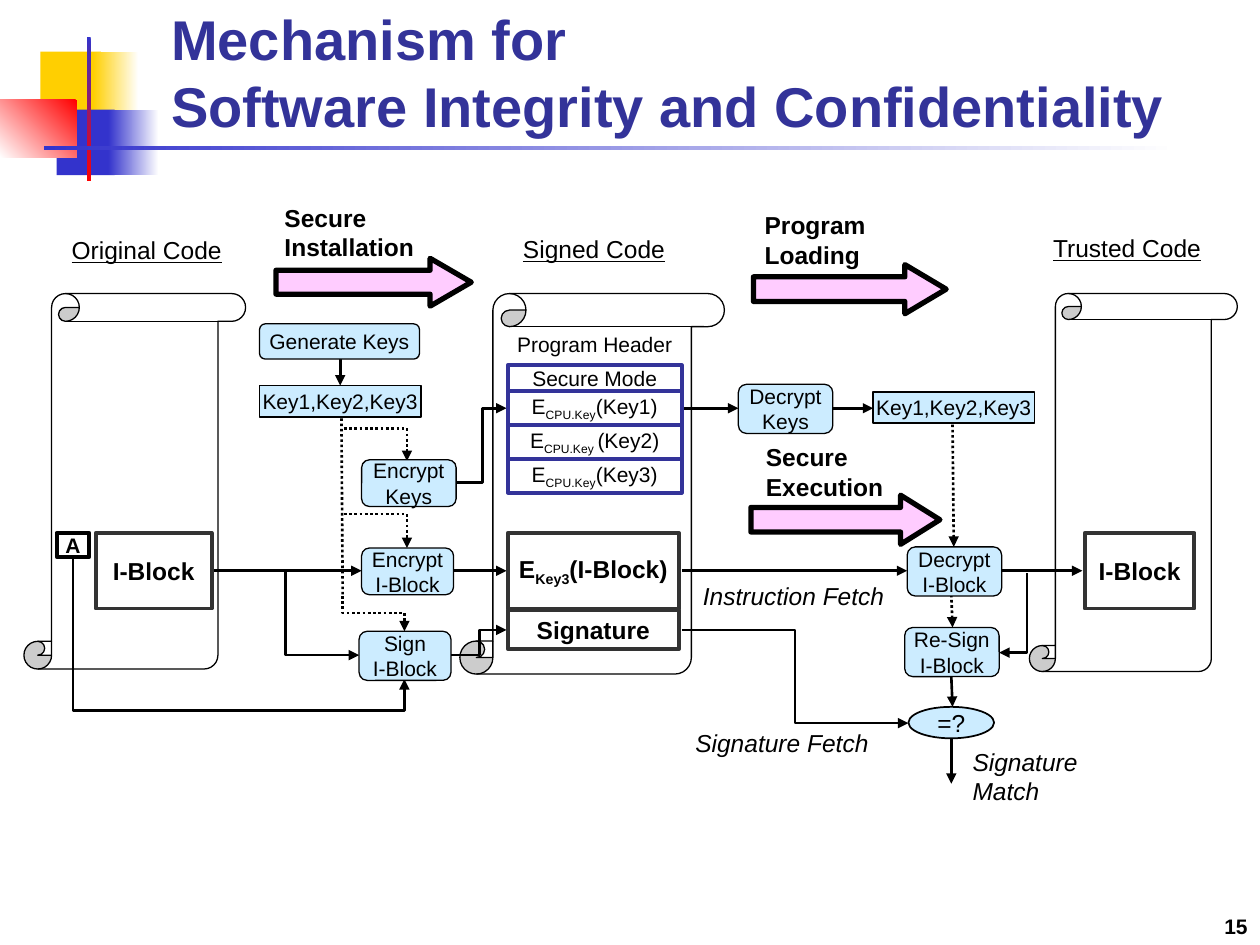
"""Build a slide on the mechanism for software integrity and confidentiality."""
import pptx
import pptx.dml.color
import pptx.enum.dml
import pptx.enum.shapes
import pptx.enum.text
import pptx.util
from lxml import etree
from pptx.oxml.ns import qn

Inches, Pt = pptx.util.Inches, pptx.util.Pt
SHAPE = pptx.enum.shapes.MSO_SHAPE
CONNECTOR = pptx.enum.shapes.MSO_CONNECTOR
ALIGN = pptx.enum.text.PP_ALIGN
ANCHOR = pptx.enum.text.MSO_ANCHOR

WHITE, BLACK, NAVY, GRAY = "FFFFFF", "000000", "333399", "333333"
YELLOW, BLUE, RED, SKY, PINK = "FFCF01", "3333CC", "FF0000", "CCECFF", "FFCCFF"

ornaments = [
    ((0.32, 0.41, 0.48, 0.52), (YELLOW,), 0),
    ((0.74, 0.41, 0.36, 0.52), (WHITE, YELLOW), 180),
    ((0.45, 0.87, 0.46, 0.52), (BLUE,), 0),
    ((0.86, 0.87, 0.4, 0.52), (WHITE, BLUE), 180),
    ((0, 0.79, 0.61, 0.46), (RED, WHITE), 225),
    ((0.69, 0.29, 0.03, 1.15), (BLUE, RED), 270),
    ((0.35, 1.16, 9, 0.03), (WHITE, BLUE), 180),
]
scrolls = [(3.65, 2.33, 2.1, 3.02), (0.19, 2.33, 1.76, 2.98), (8.17, 2.33, 1.65, 3)]
stage_arrows = [
    ((2.19, 2.05, 1.55, 0.38), 0.86),
    ((5.98, 2.1, 1.53, 0.39), 0.84),
    ((5.96, 3.93, 1.5, 0.39), 0.8),
]

headings = [
    ("Original Code", (0.47, 1.82, 1.4, 0.34), ALIGN.LEFT),
    ("Signed Code", (3.98, 1.81, 1.47, 0.34), ALIGN.CENTER),
    ("Trusted Code", (8.26, 1.8, 1.44, 0.34), ALIGN.LEFT),
]
stages = [
    ("Secure Installation", (2.16, 1.56, 1.27, 0.57)),
    ("Program\nLoading", (5.97, 1.62, 1.18, 0.57)),
    ("Secure Execution", (5.98, 3.46, 1.18, 0.57)),
]
flow_names = [
    ("Signature Match", (7.62, 5.88, 1.05, 0.57)),
    ("Signature Fetch", (5.42, 5.73, 1.85, 0.34)),
    ("Instruction Fetch", (5.48, 4.56, 1.74, 0.34)),
]

steps = [
    ("Generate Keys", (2.06, 2.57, 1.27, 0.28)),
    ("Encrypt\nKeys", (2.87, 3.65, 0.75, 0.37)),
    ("Encrypt\nI-Block", (2.87, 4.35, 0.73, 0.37)),
    ("Sign\nI-Block", (2.85, 5.01, 0.73, 0.39)),
    ("Decrypt\nKeys", (5.86, 3.05, 0.75, 0.39)),
    ("Decrypt\nI-Block", (7.2, 4.34, 0.75, 0.39)),
    ("Re-Sign\nI-Block", (7.18, 4.98, 0.75, 0.39)),
]
key_sets = [(2.06, 3.06, 1.28, 0.25), (6.93, 3.11, 1.28, 0.25)]
header_rows = [("Secure Mode",)] + [
    ("E", sub, f"(Key{n})") for n, sub in enumerate(("CPU.Key", "CPU.Key ", "CPU.Key"), 1)]
blocks = [
    (("I-Block",), (0.76, 4.23, 0.92, 0.6)),
    (("E", "Key3", "(I-Block)"), (4.03, 4.23, 1.36, 0.6)),
    (("Signature",), (4.03, 4.84, 1.36, 0.31)),
    (("I-Block",), (8.61, 4.23, 0.87, 0.6)),
]

straight_flows = [
    (3.6, 4.53, 4.02, 4.53), (1.7, 4.53, 2.87, 4.53), (6.61, 3.24, 6.93, 3.24),
    (5.41, 4.53, 7.2, 4.53), (7.95, 4.53, 8.59, 4.53), (5.43, 3.24, 5.86, 3.24),
    (2.7, 2.85, 2.7, 3.06), (7.55, 5.37, 7.56, 5.61), (7.55, 5.86, 7.55, 6.22),
]
dotted_flows = [(7.56, 3.37, 7.57, 4.34), (7.55, 4.72, 7.56, 4.98)]
sideways_flows = [
    ((3.58, 5.2, 4.02, 5), 0.51, False),
    ((1.7, 4.53, 2.85, 5.2), 0.49, False),
    ((3.62, 3.83, 4.02, 3.24), 0.52, False),
    ((5.41, 5, 7.21, 5.74), 0.5, False),
    ((2.73, 4.08, 3.23, 4.35), None, True),
    ((2.73, 3.4, 3.23, 3.66), None, True),
]
downward_flows = [
    ((8.15, 4.55, 7.93, 5.18), None, False),
    ((2.72, 4.73, 3.21, 5.01), 0.48, True),
    ((0.58, 4.44, 3.21, 5.39), 1.26, False),
]

deck = pptx.Presentation()
deck.slide_width, deck.slide_height = Inches(10), Inches(7.5)
slide = deck.slides.add_slide(deck.slide_layouts[6])


def color(value):
    return pptx.dml.color.RGBColor.from_string(value)


def write(shape, parts, size, ink=BLACK, align=ALIGN.LEFT, anchor=ANCHOR.TOP, wrap=True, **style):
    frame = shape.text_frame
    frame.word_wrap, frame.vertical_anchor = wrap, anchor
    paragraph = frame.paragraphs[0]
    paragraph.alignment = align
    font = paragraph.font
    font.name, font.size, font.color.rgb = "Arial", Pt(size), color(ink)
    for name, value in style.items():
        setattr(font, name, value)
    if len(parts) == 1:
        paragraph.text = parts[0]
        return
    for index, part in enumerate(parts):
        run = paragraph.add_run()
        run.text = part
        if index % 2:
            run._r.get_or_add_rPr().set("baseline", "-25000")


def label(text, box, size=14, **style):
    write(slide.shapes.add_textbox(*map(Inches, box)), (text,), size, **style)


def draw(kind, box, fill=None, line=None, width=0.75):
    shape = slide.shapes.add_shape(kind, *map(Inches, box))
    shape.shadow.inherit = False
    if fill:
        shape.fill.solid()
        shape.fill.fore_color.rgb = color(fill)
    else:
        shape.fill.background()
    if line:
        shape.line.color.rgb, shape.line.width = color(line), Pt(width)
    else:
        shape.line.fill.background()
    return shape


def node(kind, parts, box, size, fill, line, width, **style):
    write(draw(kind, box, fill, line, width), parts, size, align=ALIGN.CENTER,
          anchor=ANCHOR.MIDDLE, wrap=False, **style)


def flow(ends, kind=CONNECTOR.STRAIGHT, dotted=False, head=True):
    connector = slide.shapes.add_connector(kind, *map(Inches, ends))
    connector.line.color.rgb, connector.line.width = color(BLACK), Pt(1.5)
    if dotted:
        connector.line.dash_style = pptx.enum.dml.MSO_LINE.ROUND_DOT
    if head:
        etree.SubElement(connector.line._get_or_add_ln(), qn("a:tailEnd"), type="triangle")
    etree.SubElement(connector._element.spPr, qn("a:effectLst"))
    return connector


def elbow(ends, bend, dotted, downward=False):
    x1, y1, x2, y2 = ends
    turn = None
    if downward:
        half_x, half_y = abs(x2 - x1) / 2, abs(y2 - y1) / 2
        mid_x, mid_y = (x1 + x2) / 2, (y1 + y2) / 2
        ends = (mid_x - half_y, mid_y - half_x, mid_x + half_y, mid_y + half_x)
        turn = 270 if x2 > x1 else 90
    properties = flow(ends, CONNECTOR.ELBOW, dotted)._element.spPr
    if turn:
        properties.xfrm.set("rot", str(turn * 60000))
    if turn == 270:
        properties.xfrm.set("flipH", "1")
    geometry = properties.find(qn("a:prstGeom"))
    if bend is None:
        geometry.set("prst", "bentConnector2")
    else:
        etree.SubElement(geometry.find(qn("a:avLst")), qn("a:gd"),
                         name="adj1", fmla=f"val {round(bend * 100000)}")


for box, tones, angle in ornaments:
    ornament = draw(SHAPE.RECTANGLE, box, tones[0])
    if len(tones) == 2:
        ornament.fill.gradient()
        ornament.fill.gradient_angle = angle
        for stop, tone in zip(ornament.fill.gradient_stops, tones):
            stop.color.rgb = color(tone)

label("Mechanism for \nSoftware Integrity and Confidentiality", (1.26, 0.17, 8.52, 0.98), 32,
      ink=NAVY, anchor=ANCHOR.BOTTOM, bold=True)
for box in scrolls:
    draw(SHAPE.VERTICAL_SCROLL, box, WHITE, BLACK)
for text, box, align in headings:
    label(text, box, align=align, underline=True)
for text, box in stages:
    label(text, box, bold=True)
for text, box in flow_names:
    label(text, box, italic=True)
label("Program Header", (3.96, 2.58, 1.52, 0.3), 12, align=ALIGN.CENTER)
for box, point in stage_arrows:
    arrow = draw(SHAPE.RIGHT_ARROW, box, PINK, BLACK, 3)
    arrow.adjustments[0], arrow.adjustments[1] = 0.5, point

for ends in straight_flows:
    flow(ends)
for ends in dotted_flows:
    flow(ends, dotted=True)
flow((2.71, 3.32, 2.72, 4.72), dotted=True, head=False)
for ends, bend, dotted in sideways_flows:
    elbow(ends, bend, dotted)
for ends, bend, dotted in downward_flows:
    elbow(ends, bend, dotted, downward=True)

for text, box in steps:
    node(SHAPE.ROUNDED_RECTANGLE, (text,), box, 12, SKY, BLACK, 0.75)
for box in key_sets:
    node(SHAPE.RECTANGLE, ("Key1,Key2,Key3",), box, 12, SKY, BLACK, 1)
row_top = 2.9
for parts in header_rows:
    row_height = 0.2 if len(parts) == 1 else 0.27
    node(SHAPE.RECTANGLE, parts, (4.03, row_top, 1.38, row_height), 12, None, NAVY, 2.25)
    row_top += row_height
for parts, box in blocks:
    node(SHAPE.RECTANGLE, parts, box, 14, None, GRAY, 2.25, bold=True)
node(SHAPE.RECTANGLE, ("A",), (0.45, 4.23, 0.26, 0.19), 12, None, BLACK, 2.25, bold=True)
node(SHAPE.OVAL, ("=?",), (7.21, 5.61, 0.68, 0.25), 14, SKY, BLACK, 1)
label("15", (7.92, 7, 2.08, 0.5), 12, align=ALIGN.RIGHT, anchor=ANCHOR.BOTTOM, bold=True)

deck.save("out.pptx")
